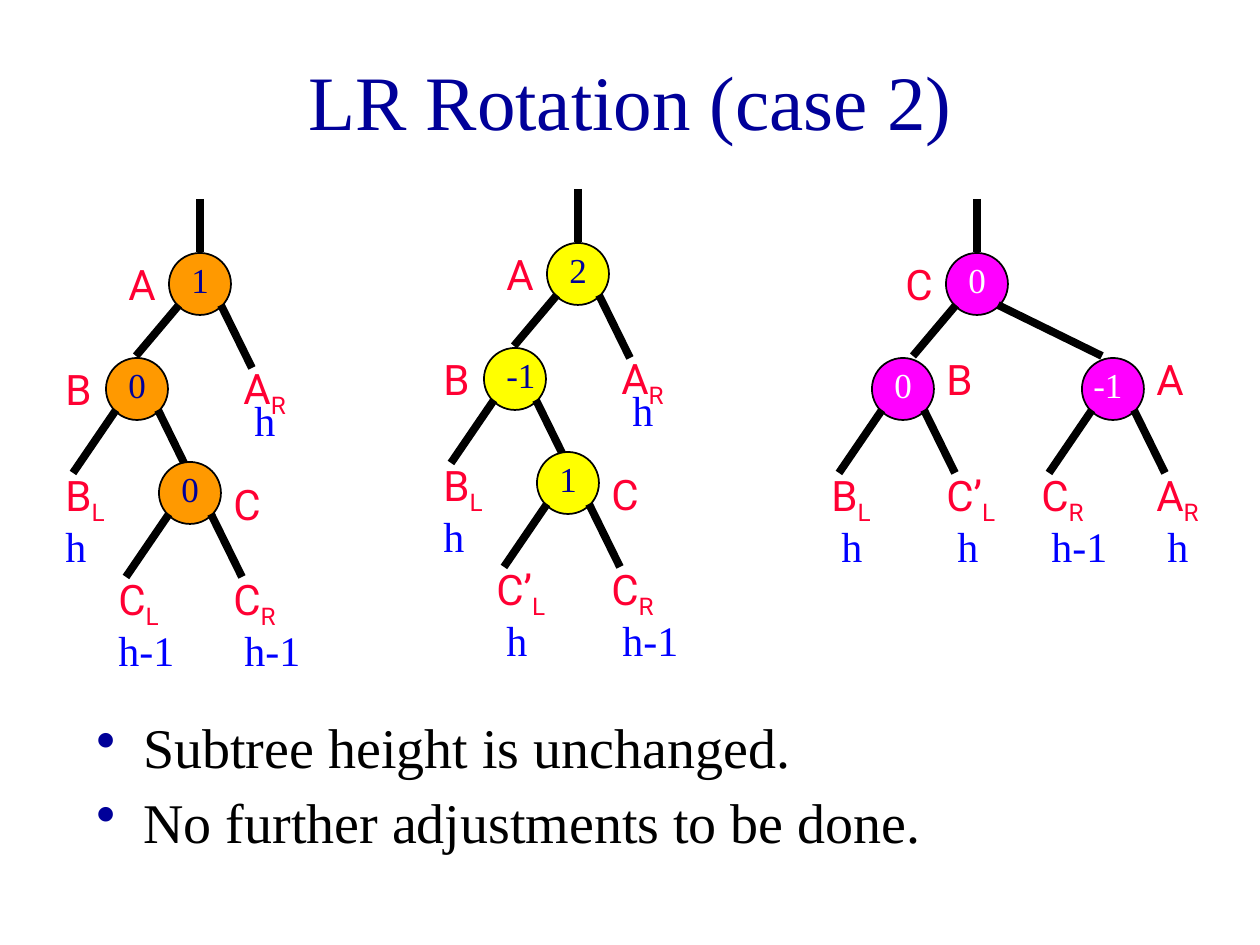
from lxml import etree
from pptx import Presentation, util as u
from pptx.dml.color import RGBColor
from pptx.enum import shapes, text
from pptx.oxml.ns import qn

PIXEL = 914400 // 126
SERIF, SANS = "Times New Roman", "Roboto"
NAVY, RED, BLUE, BLACK, WHITE = "000099", "FF0033", "0000FF", "000000", "FFFFFF"
RADIUS = 31

deck = Presentation()
deck.slide_width, deck.slide_height = 1260 * PIXEL, 945 * PIXEL
page = deck.slides.add_slide(deck.slide_layouts[6])


def add_text(left, top, width, height, lines, size, font, colour, subscript=""):
    box = page.shapes.add_textbox(*(n * PIXEL for n in (left, top, width, height)))
    box.text_frame.word_wrap = True
    box.text_frame.text = lines
    for para in box.text_frame.paragraphs:
        para.font.size, para.font.name = u.Pt(size), font
        para.font.color.rgb = RGBColor.from_string(colour)
    if subscript:
        span = box.text_frame.paragraphs[0].add_run()
        span.text = subscript
        span.font._element.set("baseline", "-25000")
    return box


def add_edge(start_x, start_y, end_x, end_y):
    edge = page.shapes.add_connector(
        shapes.MSO_CONNECTOR.STRAIGHT, *(n * PIXEL for n in (start_x, start_y, end_x, end_y)))
    edge.line.width = u.Pt(4.5)
    edge.line.color.rgb = RGBColor.from_string(BLACK)
    etree.SubElement(edge._element.spPr, qn("a:effectLst"))


title = add_text(95, 21, 1071, 158, "LR Rotation (case 2)", 44, SERIF, NAVY)
title.text_frame.vertical_anchor = text.MSO_ANCHOR.MIDDLE
title.text_frame.paragraphs[0].alignment = text.PP_ALIGN.CENTER

summary = add_text(84, 714, 882, 158,
                   "Subtree height is unchanged.\nNo further adjustments to be done.",
                   32, SERIF, BLACK)
for para in summary.text_frame.paragraphs:
    para.line_spacing = 0.9
    para.space_before = u.Pt(8)
    properties = para._p.get_or_add_pPr()
    properties.set("marL", str(47 * PIXEL))
    properties.set("indent", str(-47 * PIXEL))
    bullet_colour = etree.SubElement(properties, qn("a:buClr"))
    etree.SubElement(bullet_colour, qn("a:srgbClr"), val=NAVY)
    etree.SubElement(properties, qn("a:buChar"), char="•")
    properties.append(properties.find(qn("a:defRPr")))

LEFT_NAME, RIGHT_NAME, HIGH_NAME = (-84, -32), (31, -21), (31, -42)
LEFT_INNER, LEFT_LEAF, RIGHT, WIDE_RIGHT = (-64, 72), (-64, 84), (52, 84), (125, 72)
LEFT_TREE, LEFT_HEIGHT, LEFT_INDENTED = (-84, 74), (-84, 125), (-74, 125)
RIGHT_TREE, RIGHT_HEIGHT = (31, 74), (42, 125)
UPPER_TREE, UPPER_HEIGHT = (31, 72), (42, 104)

upper_leaf = ("A", "R", UPPER_TREE, "h", UPPER_HEIGHT)
left_leaf = ("B", "L", LEFT_TREE, "h", LEFT_HEIGHT)
right_leaf = ("C", "R", RIGHT_TREE, "h-1", RIGHT_HEIGHT)

trees = [
    (53, 199, "FF9900", NAVY, [
        ("A", "1", 147, 85, LEFT_NAME, -21, [LEFT_INNER, RIGHT], [upper_leaf]),
        ("B", "0", 84, 190, LEFT_NAME, -21, [LEFT_LEAF, RIGHT], [left_leaf]),
        ("C", "0", 137, 294, RIGHT_NAME, -21, [LEFT_LEAF, RIGHT],
         [("C", "L", LEFT_TREE, "h-1", LEFT_HEIGHT), right_leaf]),
    ]),
    (431, 189, "FFFF00", NAVY, [
        ("A", "2", 147, 85, LEFT_NAME, -21, [LEFT_INNER, RIGHT], [upper_leaf]),
        ("B", "-1", 84, 190, LEFT_NAME, -21, [LEFT_LEAF, RIGHT], [left_leaf]),
        ("C", "1", 137, 294, RIGHT_NAME, -21, [LEFT_LEAF, RIGHT],
         [("C’", "L", LEFT_TREE, "h", LEFT_INDENTED), right_leaf]),
    ]),
    (819, 199, "FF00FF", WHITE, [
        ("C", "0", 158, 85, LEFT_NAME, -21, [LEFT_INNER, WIDE_RIGHT], []),
        ("B", "0", 84, 190, HIGH_NAME, -21, [LEFT_LEAF, RIGHT],
         [("B", "L", LEFT_TREE, "h", LEFT_INDENTED),
          ("C’", "L", RIGHT_TREE, "h", RIGHT_HEIGHT)]),
        ("A", "-1", 294, 190, HIGH_NAME, -32, [LEFT_LEAF, RIGHT],
         [("C", "R", LEFT_TREE, "h-1", LEFT_INDENTED),
          ("A", "R", RIGHT_TREE, "h", RIGHT_HEIGHT)]),
    ]),
]

for tree_x, tree_y, fill, value_colour, nodes in trees:
    root_x = tree_x + nodes[0][2]
    add_edge(root_x, tree_y, root_x, tree_y + 53)
    for name, value, dx, dy, name_at, value_dx, edges, leaves in nodes:
        x, y = tree_x + dx, tree_y + dy
        circle = page.shapes.add_shape(
            shapes.MSO_SHAPE.OVAL,
            *(n * PIXEL for n in (x - RADIUS, y - RADIUS, 2 * RADIUS, 2 * RADIUS)))
        circle.shadow.inherit = False
        circle.fill.solid()
        circle.fill.fore_color.rgb = RGBColor.from_string(fill)
        circle.line.color.rgb = RGBColor.from_string(BLACK)
        circle.line.width = u.Pt(1)
        for edge_x, edge_y in edges:
            add_edge(x + (21 if edge_x > 0 else -21), y + 21, x + edge_x, y + edge_y)
        add_text(x + value_dx, y - 32, 63, 54, value, 20, SERIF, value_colour)
        add_text(x + name_at[0], y + name_at[1], 42, 63, name, 24, SANS, RED)
        for subtree, side, subtree_at, height, height_at in leaves:
            add_text(x + subtree_at[0], y + subtree_at[1], 90, 63, subtree, 24, SANS, RED, side)
            add_text(x + height_at[0], y + height_at[1], 53 if height == "h" else 95, 63,
                     height, 24, SERIF, BLUE)

deck.save("out.pptx")
